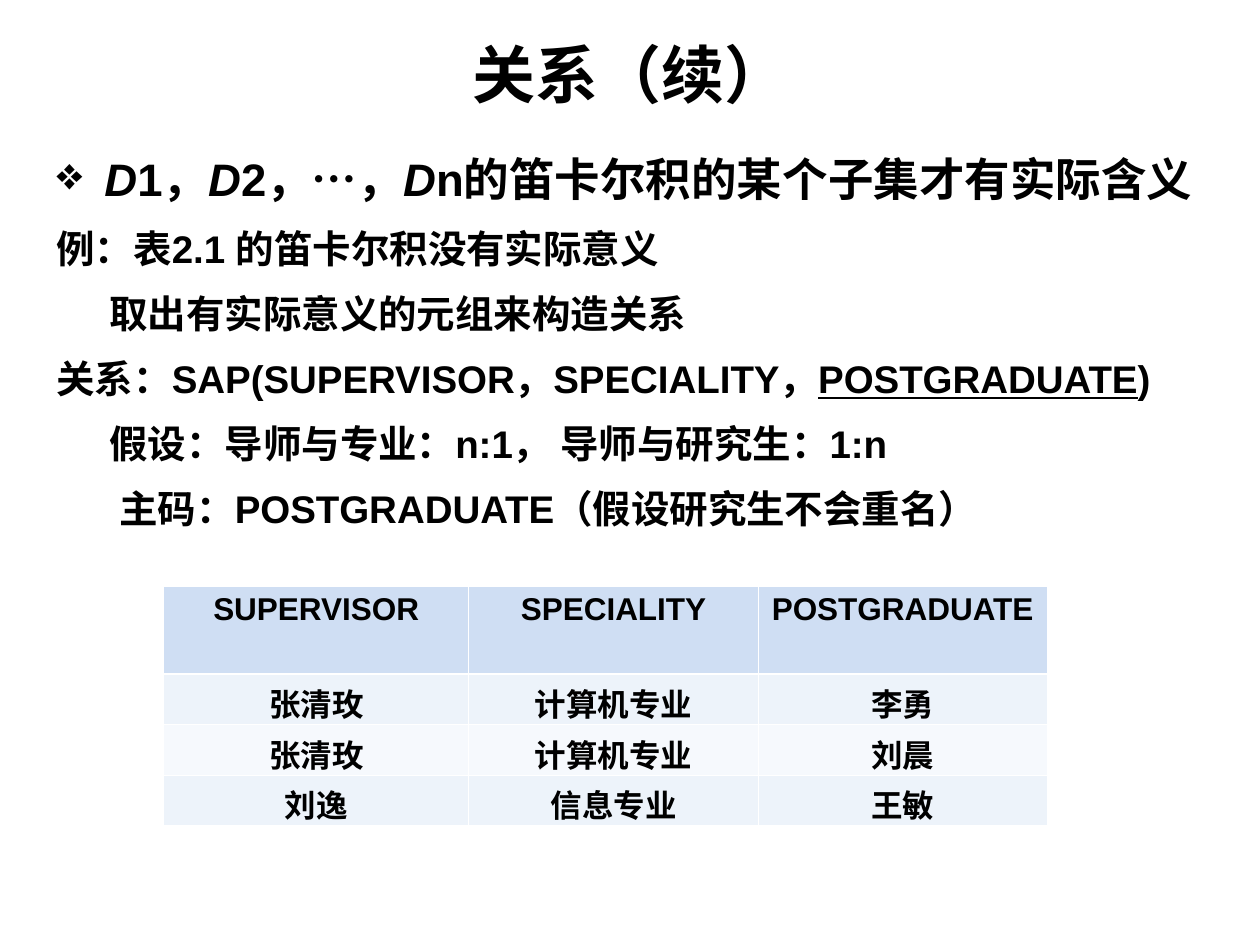
from dataclasses import dataclass

import pptx
import pptx.dml.color
import pptx.enum.text
import pptx.oxml
import pptx.oxml.ns
import pptx.util
from pptx.util import Inches

ALIGN = pptx.enum.text.PP_ALIGN
ANCHOR = pptx.enum.text.MSO_ANCHOR


@dataclass(frozen=True)
class Theme:
    font: str = "Arial"
    ink: str = "000000"
    rule: str = "FFFFFF"
    header: str = "CFDEF3"
    bands: tuple[str, str] = ("EDF3FA", "F6F9FD")
    title_size: float = 36
    lead_size: float = 26
    body_size: float = 22
    table_size: float = 18
    thin_rule: float = 0.45
    header_rule: float = 1.47


@dataclass(frozen=True)
class Piece:
    text: str
    italic: bool = False
    underline: bool = False


@dataclass(frozen=True)
class Line:
    pieces: tuple[Piece, ...]
    size: float
    margin: float = 0
    indent: float = 0
    spacing: float = 1.2
    before: float = 5.5
    bullet: str = ""
    tab: float = 0


THEME = Theme()

LINES = (
    Line((Piece("D", italic=True), Piece("1，"), Piece("D", italic=True), Piece("2，…，"),
          Piece("D", italic=True), Piece("n的笛卡尔积的某个子集才有实际含义")),
         THEME.lead_size, margin=0.38, indent=-0.38, spacing=0.9, before=0, bullet="❖"),
    Line((Piece("例：表2.1 的笛卡尔积没有实际意义"),), THEME.body_size),
    Line((Piece("取出有实际意义的元组来构造关系"),), THEME.body_size, indent=0.42),
    Line((Piece("关系：SAP(SUPERVISOR，SPECIALITY，"),
          Piece("POSTGRADUATE", underline=True), Piece(")")), THEME.body_size),
    Line((Piece("假设：导师与专业：n:1，\t导师与研究生：1:n"),), THEME.body_size,
         indent=0.42, tab=4.28),
    Line((Piece("主码：POSTGRADUATE（假设研究生不会重名）"),), THEME.body_size, indent=0.5),
)

COLUMN_WIDTHS = (2.42, 2.3, 2.29)
ROW_HEIGHTS = (0.7, 0.4, 0.4, 0.4)
SAP_TUPLES = (
    ("SUPERVISOR", "SPECIALITY", "POSTGRADUATE"),
    ("张清玫", "计算机专业", "李勇"),
    ("张清玫", "计算机专业", "刘晨"),
    ("刘逸", "信息专业", "王敏"),
)


def rgb(value: str) -> pptx.dml.color.RGBColor:
    return pptx.dml.color.RGBColor.from_string(value)


def add_xml(parent, inner: str, index: int | None = None) -> None:
    """Add one drawing element, at the end unless an index is given."""
    tag, rest = inner.split(" ", 1)
    element = pptx.oxml.parse_xml(f"<a:{tag} {pptx.oxml.ns.nsdecls('a')} {rest}")
    parent.insert(len(parent) if index is None else index, element)


def style(paragraph, size: float, align) -> None:
    paragraph.alignment = align
    font = paragraph.font
    font.name, font.size, font.bold = THEME.font, pptx.util.Pt(size), True
    font.color.rgb = rgb(THEME.ink)


def write_line(paragraph, line: Line) -> None:
    properties = paragraph._p.get_or_add_pPr()
    properties.set("marL", str(Inches(line.margin)))
    properties.set("indent", str(Inches(line.indent)))
    if line.bullet:
        add_xml(properties, f'buClr ><a:srgbClr val="{THEME.ink}"/></a:buClr>')
        add_xml(properties, f'buChar char="{line.bullet}"/>')
    else:
        add_xml(properties, "buNone />")
    if line.tab:
        add_xml(properties, f'tabLst ><a:tab pos="{Inches(line.tab)}" algn="l"/></a:tabLst>')
    paragraph.line_spacing = line.spacing
    paragraph.space_before = pptx.util.Pt(line.before)
    style(paragraph, line.size, ALIGN.JUSTIFY)
    for piece in line.pieces:
        run = paragraph.add_run()
        run.text = piece.text
        if piece.italic:
            run.font.italic = True
        if piece.underline:
            run.font.underline = True


def rule_cell(cell, top: float, bottom: float) -> None:
    thin = THEME.thin_rule
    sides = (("lnL", thin), ("lnR", thin), ("lnT", top), ("lnB", bottom))
    for index, (side, width) in enumerate(sides):
        add_xml(cell._tc.get_or_add_tcPr(),
                f'{side} w="{pptx.util.Pt(width)}"><a:solidFill>'
                f'<a:srgbClr val="{THEME.rule}"/></a:solidFill></a:{side}>', index)


def add_relation(slide) -> None:
    table = slide.shapes.add_table(
        len(SAP_TUPLES), len(COLUMN_WIDTHS), Inches(1.3), Inches(4.65),
        Inches(sum(COLUMN_WIDTHS)), Inches(sum(ROW_HEIGHTS))).table
    for column, width in zip(table.columns, COLUMN_WIDTHS):
        column.width = Inches(width)
    for r, values in enumerate(SAP_TUPLES):
        table.rows[r].height = Inches(ROW_HEIGHTS[r])
        for c, value in enumerate(values):
            cell = table.cell(r, c)
            cell.text = value
            style(cell.text_frame.paragraphs[0], THEME.table_size, ALIGN.CENTER)
            cell.fill.solid()
            cell.fill.fore_color.rgb = rgb(THEME.bands[(r - 1) % 2] if r else THEME.header)
            rule_cell(cell,
                      top=THEME.header_rule if r == 1 else THEME.thin_rule,
                      bottom=THEME.header_rule if r == 0 else THEME.thin_rule)


def main() -> None:
    deck = pptx.Presentation()
    deck.slide_width, deck.slide_height = Inches(10), Inches(7.5)
    slide = deck.slides.add_slide(deck.slide_layouts[5])

    # Title
    title = slide.shapes.title
    title.left, title.top = Inches(0.5), Inches(-0.04)
    title.width, title.height = Inches(9), Inches(1.24)
    title.text_frame.text = "关系（续）"
    title.text_frame.vertical_anchor = ANCHOR.MIDDLE
    style(title.text_frame.paragraphs[0], THEME.title_size, ALIGN.CENTER)

    # Explanation
    explanation = slide.shapes.add_textbox(
        Inches(0.35), Inches(1.2), Inches(9.29), Inches(5.16)).text_frame
    explanation.word_wrap = True
    for number, line in enumerate(LINES):
        write_line(explanation.add_paragraph() if number else explanation.paragraphs[0], line)

    # Relation SAP
    add_relation(slide)
    deck.save("out.pptx")


if __name__ == "__main__":
    main()
